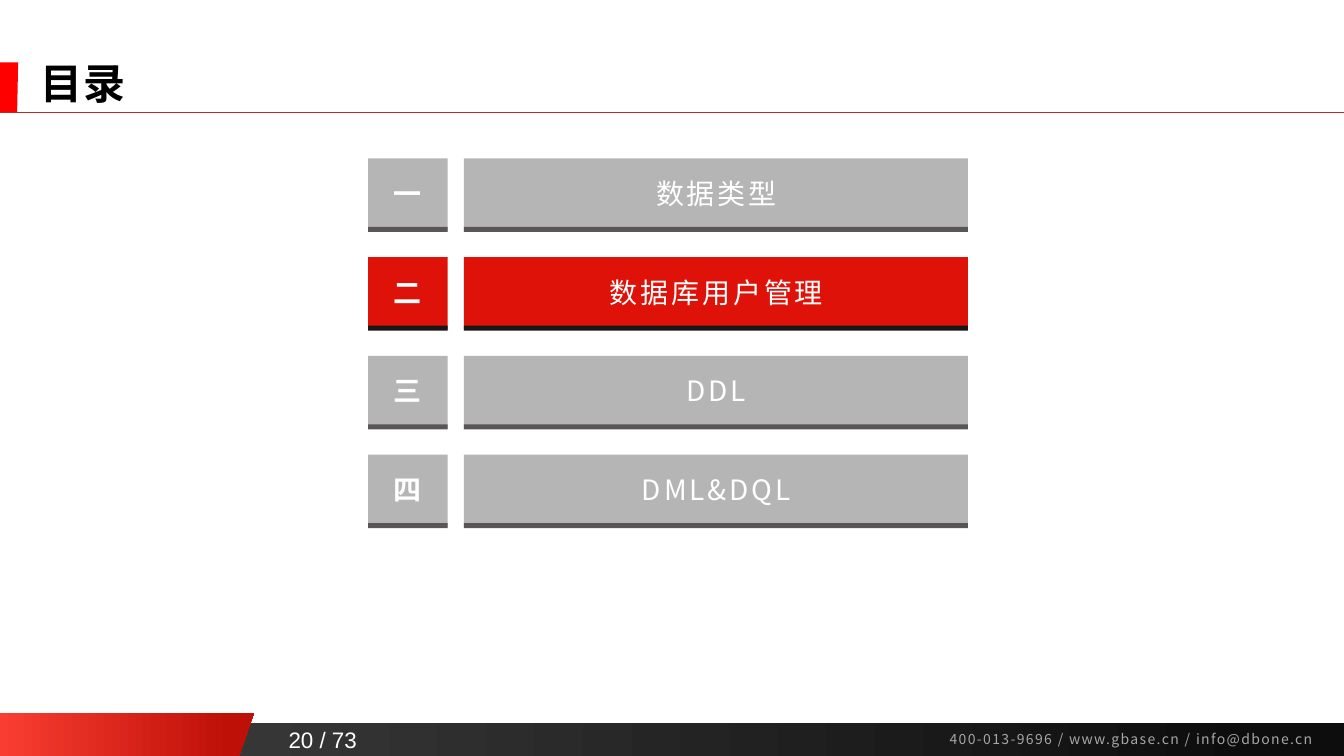
from dataclasses import dataclass

from lxml import etree
from pptx import Presentation
from pptx import util as u
from pptx.dml import color
from pptx.enum import shapes, text
from pptx.oxml import ns

CJK = "Noto Sans CJK SC"
WHITE = "FFFFFF"


@dataclass
class Box:
    left: float
    top: float
    width: float
    height: float

    def lengths(self) -> list:
        return [u.Inches(v) for v in (self.left, self.top, self.width, self.height)]


@dataclass
class Style:
    size: float
    color: str = WHITE
    font: str = CJK
    bold: bool = False
    spacing: float = 0
    align: text.PP_ALIGN = text.PP_ALIGN.LEFT
    anchor: text.MSO_ANCHOR = text.MSO_ANCHOR.TOP
    wrap: bool = True


@dataclass
class Entry:
    number: str
    label: str
    current: bool = False


def rgb(value: str) -> color.RGBColor:
    return color.RGBColor.from_string(value)


def finish(sp, *stops: tuple[str, float]) -> None:
    """Fill with one colour, or with a left-to-right gradient of two."""
    sp.shadow.inherit = False
    sp.line.fill.background()
    if len(stops) == 1:
        sp.fill.solid()
        sp.fill.fore_color.rgb = rgb(stops[0][0])
        return
    sp.fill.gradient()
    sp.fill.gradient_angle = 0
    for stop, (value, position) in zip(sp.fill.gradient_stops, stops):
        stop.color.rgb = rgb(value)
        stop.position = position


def add_rect(s, box: Box, *stops: tuple[str, float]) -> None:
    sp = s.shapes.add_shape(shapes.MSO_SHAPE.RECTANGLE, *box.lengths())
    finish(sp, *stops)


def add_slanted(s, box: Box, slant: float, *stops: tuple[str, float]) -> None:
    """Rectangle whose right side leans in by slant at the bottom."""
    right, bottom = box.left + box.width, box.top + box.height
    points = [(right, box.top), (right - slant, bottom), (box.left, bottom)]
    builder = s.shapes.build_freeform(
        u.Inches(box.left), u.Inches(box.top))
    builder.add_line_segments([(u.Inches(x), u.Inches(y)) for x, y in points])
    finish(builder.convert_to_shape(), *stops)


def add_text(s, box: Box, words: str, style: Style):
    tf = s.shapes.add_textbox(*box.lengths()).text_frame
    tf.word_wrap = style.wrap
    tf.vertical_anchor = style.anchor
    tf.text = words
    p = tf.paragraphs[0]
    p.alignment = style.align
    r = p.runs[0]
    r.font.size = u.Pt(style.size)
    r.font.bold = style.bold
    r.font.name = style.font
    r.font.color.rgb = rgb(style.color)
    rpr = r.font._element
    etree.SubElement(rpr, ns.qn("a:ea")).set("typeface", style.font)
    if style.spacing:
        rpr.set("spc", str(int(style.spacing * 100)))
    return p


def add_rule(s, y: float, width: float, value: str) -> None:
    line = s.shapes.add_connector(
        shapes.MSO_CONNECTOR.STRAIGHT, 0, u.Inches(y), u.Inches(width), u.Inches(y))
    line.line.color.rgb = rgb(value)
    line.line.width = u.Pt(0.5)
    etree.SubElement(line._element.spPr, ns.qn("a:effectLst"))


def add_entry(s, entry: Entry, top: float) -> None:
    face, edge = ("DE1208", "181717") if entry.current else ("B5B5B5", "5A5656")
    for left, width in ((3.65, 0.79), (4.6, 5)):
        add_rect(s, Box(left, top, width, 0.72), (face, 0))
        add_rect(s, Box(left, top + 0.68, width, 0.05), (edge, 0))
    add_text(s, Box(3.8, top + 0.13, 0.48, 0.44), entry.number,
             Style(20, bold=True, wrap=False))
    add_text(s, Box(4.79, top + 0.13, 4.63, 0.44), entry.label,
             Style(20, spacing=2, align=text.PP_ALIGN.CENTER))


def main() -> None:
    prs = Presentation()
    prs.slide_width, prs.slide_height = u.Inches(13.33), u.Inches(7.5)
    s = prs.slides.add_slide(prs.slide_layouts[6])

    # Footer
    add_rect(s, Box(0, 7.17, 13.33, 0.33), ("404040", 0), ("0D0D0D", 0.94))
    add_slanted(s, Box(0, 7.07, 2.52, 0.43), 0.15, ("F93D32", 0), ("BE1007", 0.91))
    add_text(s, Box(2.74, 7.15, 0.92, 0.37), "20 / 73",
             Style(16, font="Arial", align=text.PP_ALIGN.CENTER,
                   anchor=text.MSO_ANCHOR.BOTTOM, wrap=False))
    add_text(s, Box(9.32, 7.2, 3.99, 0.27),
             "400-013-9696 / www.gbase.cn / info@dbone.cn",
             Style(10, "A6A6A6", spacing=1))

    # Heading
    add_slanted(s, Box(0, 0.62, 0.18, 0.5), 0.01, ("FF0000", 0))
    add_rule(s, 1.11, 13.33, "B82E24")
    p = add_text(s, Box(0.3, 0.59, 12.26, 0.53), "目录",
                 Style(30, "000000", bold=True, spacing=1,
                       anchor=text.MSO_ANCHOR.MIDDLE))
    p.line_spacing = 0.9

    # Contents
    entries = [
        Entry("一", "数据类型"),
        Entry("二", "数据库用户管理", current=True),
        Entry("三", "DDL"),
        Entry("四", "DML&DQL"),
    ]
    for i, entry in enumerate(entries):
        add_entry(s, entry, 1.57 + 0.98 * i)

    prs.save("out.pptx")


if __name__ == "__main__":
    main()
